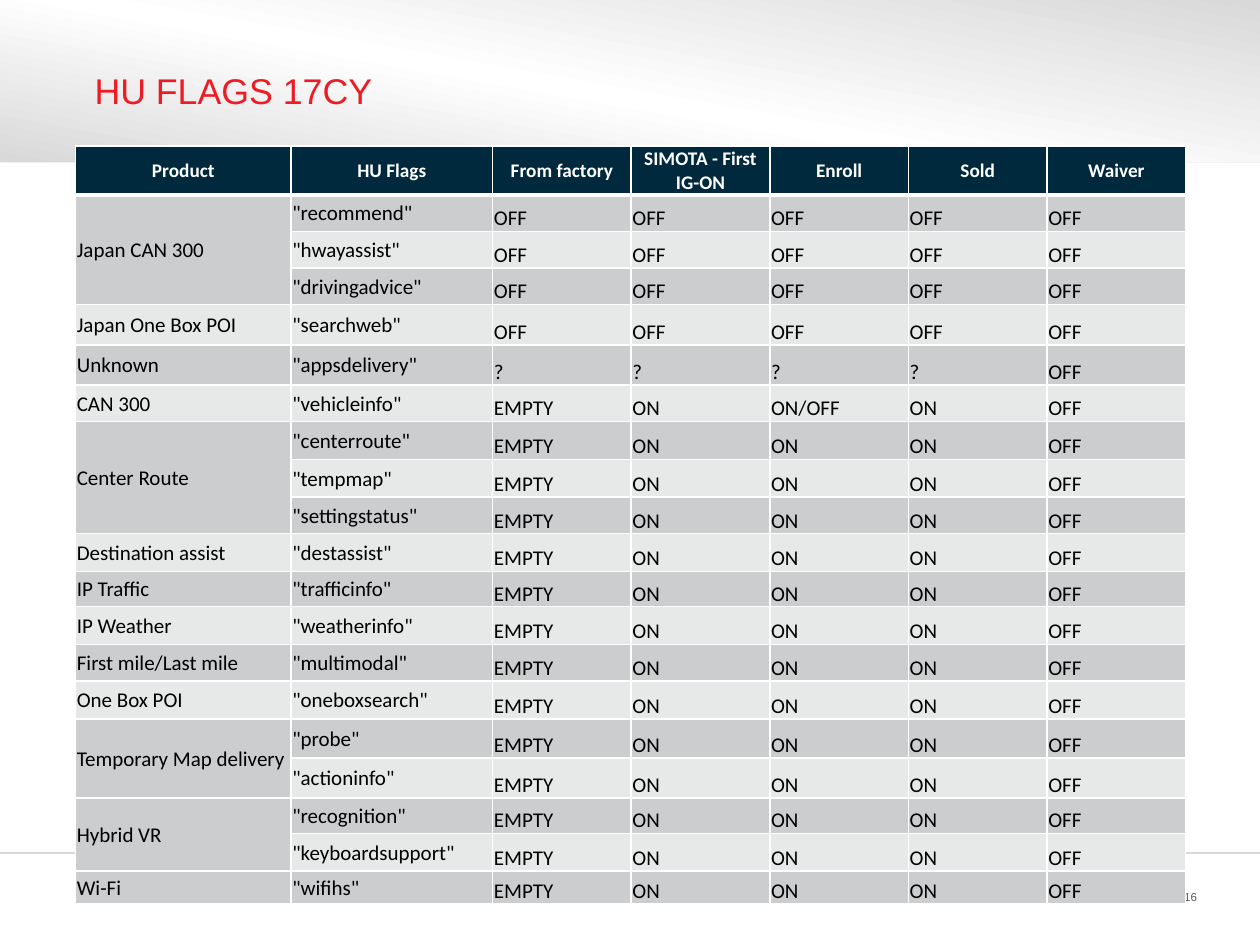
from dataclasses import dataclass

from lxml.etree import SubElement
from pptx import Presentation
from pptx.dml.color import RGBColor
from pptx.enum.shapes import MSO_CONNECTOR, MSO_SHAPE
from pptx.enum.text import MSO_ANCHOR, MSO_AUTO_SIZE, PP_ALIGN
from pptx.oxml import parse_xml
from pptx.oxml.ns import nsdecls, qn
from pptx.slide import Slide
from pptx.table import Table, _Cell
from pptx.util import Inches, Pt

COLORS = {
    "title": "ED1C24",
    "header": "00293E",
    "odd_row": "CCCDCE",
    "even_row": "E7E8E8",
    "white": "FFFFFF",
    "black": "000000",
    "rule": "D9D9D9",
    "band_rule": "F2F2F2",
    "page_number": "58595B",
}
HEADINGS = ["Product", "HU Flags", "From factory", "SIMOTA - First IG-ON", "Enroll", "Sold", "Waiver"]
COLUMN_WIDTHS = [1.71, 1.6] + [1.1] * 5
HEADER_HEIGHT = 0.3
ALL_OFF = ("OFF",) * 5
UNKNOWN = ("?",) * 4 + ("OFF",)
VEHICLE = ("EMPTY", "ON", "ON/OFF", "ON", "OFF")
STANDARD = ("EMPTY", "ON", "ON", "ON", "OFF")


@dataclass(frozen=True)
class Flag:
    name: str
    height: float
    states: tuple[str, ...] = STANDARD


@dataclass(frozen=True)
class Product:
    name: str
    flags: list[Flag]


PRODUCTS = [
    Product("Japan CAN 300", [
        Flag("recommend", 0.29, ALL_OFF),
        Flag("hwayassist", 0.29, ALL_OFF),
        Flag("drivingadvice", 0.29, ALL_OFF),
    ]),
    Product("Japan One Box POI", [Flag("searchweb", 0.32, ALL_OFF)]),
    Product("Unknown", [Flag("appsdelivery", 0.32, UNKNOWN)]),
    Product("CAN 300", [Flag("vehicleinfo", 0.29, VEHICLE)]),
    Product("Center Route", [
        Flag("centerroute", 0.3),
        Flag("tempmap", 0.3),
        Flag("settingstatus", 0.29),
    ]),
    Product("Destination assist", [Flag("destassist", 0.3)]),
    Product("IP Traffic", [Flag("trafficinfo", 0.28)]),
    Product("IP Weather", [Flag("weatherinfo", 0.3)]),
    Product("First mile/Last mile", [Flag("multimodal", 0.29)]),
    Product("One Box POI", [Flag("oneboxsearch", 0.3)]),
    Product("Temporary Map delivery", [Flag("probe", 0.31), Flag("actioninfo", 0.32)]),
    Product("Hybrid VR", [Flag("recognition", 0.28), Flag("keyboardsupport", 0.3)]),
    Product("Wi-Fi", [Flag("wifihs", 0.26)]),
]


def color(name: str) -> RGBColor:
    return RGBColor.from_string(COLORS[name])


def add_band(slide: Slide) -> None:
    band = slide.shapes.add_shape(MSO_SHAPE.RECTANGLE, 0, 0, Inches(10), Inches(1.28))
    band.shadow.inherit = False
    band.line.fill.background()
    stops = "".join(
        f'<a:gs pos="{position * 1000}"><a:srgbClr val="{COLORS[name]}"/></a:gs>'
        for position, name in [(0, "rule"), (55, "white"), (100, "rule")]
    )
    gradient = parse_xml(
        f'<a:gradFill {nsdecls("a")} rotWithShape="1"><a:gsLst>{stops}</a:gsLst>'
        '<a:lin ang="6000000" scaled="0"/></a:gradFill>'
    )
    band._element.spPr.find(qn("a:prstGeom")).addnext(gradient)


def add_rule(slide: Slide, top: float, color_name: str) -> None:
    rule = slide.shapes.add_connector(
        MSO_CONNECTOR.STRAIGHT, 0, Inches(top), Inches(10), Inches(top)
    )
    rule.line.color.rgb = color(color_name)
    rule.line.width = Pt(1)
    SubElement(rule._element.spPr, qn("a:effectLst"))


def add_page_number(slide: Slide) -> None:
    box = slide.shapes.add_textbox(Inches(8.92), Inches(7.01), Inches(0.58), Inches(0.22))
    frame = box.text_frame
    frame.margin_left = frame.margin_right = frame.margin_top = frame.margin_bottom = 0
    frame.word_wrap = True
    frame.vertical_anchor = MSO_ANCHOR.MIDDLE
    frame.text = "16"
    paragraph = frame.paragraphs[0]
    paragraph.alignment = PP_ALIGN.RIGHT
    font = paragraph.runs[0].font
    font.name, font.size = "Arial", Pt(6.6)
    font.color.rgb = color("page_number")


def format_title(slide: Slide) -> None:
    title = slide.shapes.title
    title.left, title.top = Inches(0.6), Inches(0.15)
    title.width, title.height = Inches(8.8), Inches(1.13)
    frame = title.text_frame
    frame.auto_size = MSO_AUTO_SIZE.NONE
    frame.margin_left = frame.margin_right = Inches(0.15)
    frame.margin_top = frame.margin_bottom = 0
    frame.vertical_anchor = MSO_ANCHOR.MIDDLE
    frame.text = "HU FLAGS 17CY"
    paragraph = frame.paragraphs[0]
    paragraph.alignment = PP_ALIGN.LEFT
    font = paragraph.runs[0].font
    font.name, font.size = "Arial", Pt(20.4)
    font.color.rgb = color("title")
    slide.shapes._spTree.append(title._element)


def add_border(cell: _Cell, side: str, width: float) -> None:
    properties = cell._tc.get_or_add_tcPr()
    line = SubElement(properties, qn(f"a:ln{side}"), w=str(Pt(width)))
    fill = SubElement(line, qn("a:solidFill"))
    SubElement(fill, qn("a:srgbClr"), val=COLORS["white"])


def format_cell(cell: _Cell, row: int, column: int) -> None:
    is_header = row == 0
    cell.margin_left = cell.margin_right = cell.margin_top = Inches(0.01)
    cell.margin_bottom = 0
    is_middle = is_header or column < 2
    cell.vertical_anchor = MSO_ANCHOR.MIDDLE if is_middle else MSO_ANCHOR.BOTTOM
    for side in "LRTB":
        is_header_edge = (row, side) in [(0, "B"), (1, "T")]
        add_border(cell, side, 3 if is_header_edge else 1)
    cell.fill.solid()
    row_color = "odd_row" if row % 2 else "even_row"
    cell.fill.fore_color.rgb = color("header" if is_header else row_color)
    paragraph = cell.text_frame.paragraphs[0]
    paragraph.alignment = PP_ALIGN.CENTER if is_header else PP_ALIGN.LEFT
    for run in paragraph.runs:
        run.font.name = "Calibri"
        run.font.size = Pt(11 if is_header else 12)
        run.font.bold = is_header
        run.font.color.rgb = color("white" if is_header else "black")


def fill_text(table: Table) -> None:
    for column, heading in enumerate(HEADINGS):
        table.cell(0, column).text_frame.text = heading
    row = 1
    for product in PRODUCTS:
        first_cell = table.cell(row, 0)
        first_cell.text_frame.text = product.name
        if len(product.flags) > 1:
            first_cell.merge(table.cell(row + len(product.flags) - 1, 0))
        for flag in product.flags:
            table.rows[row].height = Inches(flag.height)
            for column, text in enumerate((f'"{flag.name}"', *flag.states), start=1):
                table.cell(row, column).text_frame.text = text
            row += 1


def add_flag_table(slide: Slide) -> None:
    heights = [HEADER_HEIGHT] + [flag.height for product in PRODUCTS for flag in product.flags]
    table = slide.shapes.add_table(
        len(heights), len(HEADINGS), Inches(0.6), Inches(1.16),
        Inches(sum(COLUMN_WIDTHS)), Inches(sum(heights)),
    ).table
    for column, width in zip(table.columns, COLUMN_WIDTHS):
        column.width = Inches(width)
    table.rows[0].height = Inches(HEADER_HEIGHT)
    fill_text(table)
    for row in range(len(heights)):
        for column in range(len(HEADINGS)):
            format_cell(table.cell(row, column), row, column)


def main() -> None:
    presentation = Presentation()
    presentation.slide_width, presentation.slide_height = Inches(10), Inches(7.5)
    slide = presentation.slides.add_slide(presentation.slide_layouts[5])
    add_band(slide)
    add_rule(slide, 6.77, "rule")
    add_rule(slide, 1.29, "band_rule")
    add_page_number(slide)
    format_title(slide)
    add_flag_table(slide)
    presentation.save("out.pptx")


if __name__ == "__main__":
    main()
